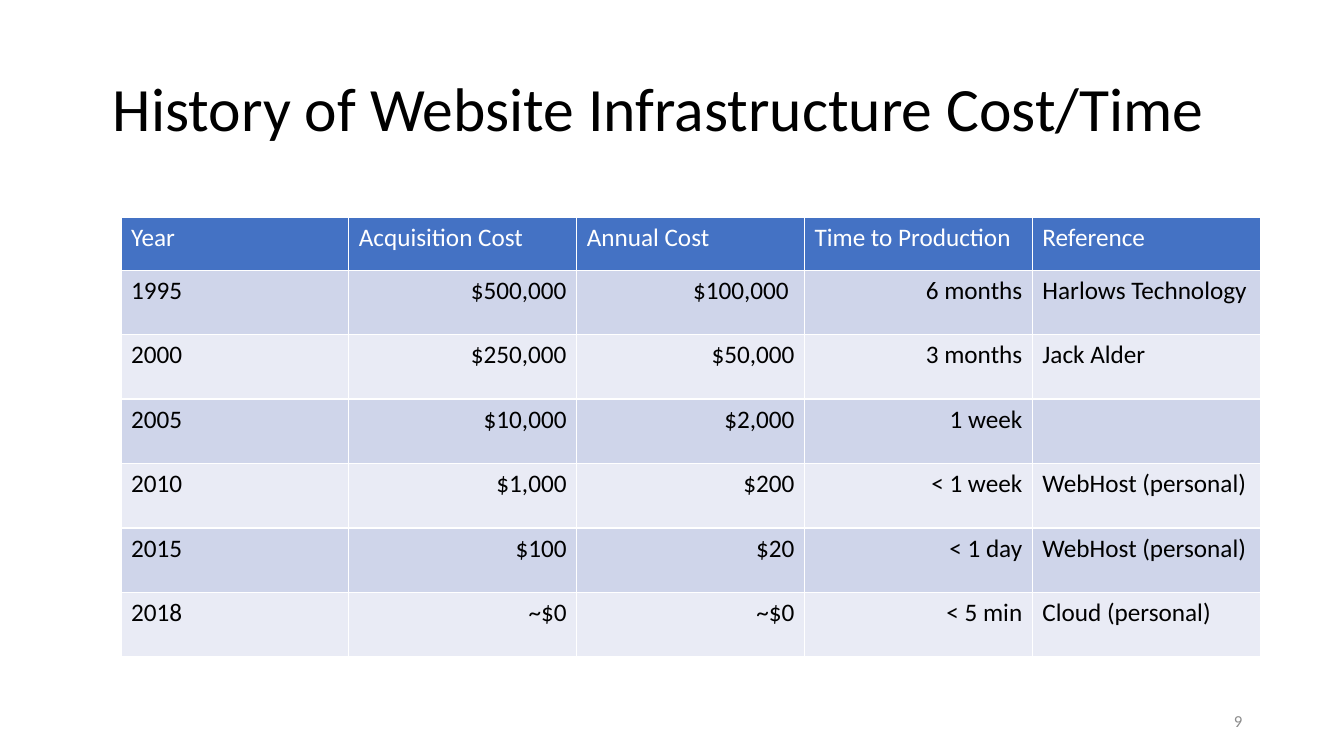
from dataclasses import dataclass

import pptx
import pptx.dml.color
import pptx.enum.text
import pptx.oxml
import pptx.oxml.ns
import pptx.util

PX = 9144  # one px is a hundredth of an inch
ALIGN = pptx.enum.text.PP_ALIGN
ANCHOR = pptx.enum.text.MSO_ANCHOR


@dataclass(frozen=True)
class Theme:
    font: str = "Calibri"
    ink: str = "000000"
    muted: str = "8C8C8C"
    white: str = "FFFFFF"
    header: str = "4472C4"
    bands: tuple[str, str] = ("CFD5EA", "E9EBF5")
    title_size: int = 44
    table_size: int = 18
    number_size: int = 12
    border_width: int = 1


@dataclass(frozen=True)
class Area:
    left: int
    top: int
    width: int
    height: int

    def emu(self) -> tuple[int, int, int, int]:
        return self.left * PX, self.top * PX, self.width * PX, self.height * PX


@dataclass(frozen=True)
class Era:
    year: str
    acquisition: str
    annual: str
    production: str
    reference: str

    def cells(self) -> tuple[str, ...]:
        return self.year, self.acquisition, self.annual, self.production, self.reference


THEME = Theme()
PAGE = Area(0, 0, 1333, 750)
TITLE = Area(102, 31, 1167, 159)
TABLE = Area(120, 216, 1130, 436)
NUMBER = Area(942, 695, 300, 40)
COLUMN_WIDTH = 226
HEADER_HEIGHT = 52
ROW_HEIGHT = 64
RIGHT_ALIGNED = (1, 2, 3)

HEADINGS = Era("Year", "Acquisition Cost", "Annual Cost", "Time to Production", "Reference")
ERAS = [
    Era("1995", "$500,000", "$100,000 ", "6 months", "Harlows Technology"),
    Era("2000", "$250,000", "$50,000", "3 months", "Jack Alder"),
    Era("2005", "$10,000", "$2,000", "1 week", ""),
    Era("2010", "$1,000", "$200", "< 1 week", "WebHost (personal)"),
    Era("2015", "$100", "$20", "< 1 day", "WebHost (personal)"),
    Era("2018", "~$0", "~$0", "< 5 min", "Cloud (personal)"),
]


def rgb(color: str) -> pptx.dml.color.RGBColor:
    return pptx.dml.color.RGBColor.from_string(color)


def write(frame, text: str, size: int, color: str, align=ALIGN.LEFT) -> None:
    frame.text = text
    para = frame.paragraphs[0]
    para.alignment = align
    para.font.size = pptx.util.Pt(size)
    for span in para.runs:
        span.font.name = THEME.font
        span.font.size = pptx.util.Pt(size)
        span.font.color.rgb = rgb(color)


def add_borders(cell) -> None:
    """Must run before the cell fill is set, as borders come first in the XML."""
    properties = cell._tc.get_or_add_tcPr()
    width = pptx.util.Pt(THEME.border_width)
    for side in "LRTB":
        properties.append(pptx.oxml.parse_xml(
            f'<a:ln{side} {pptx.oxml.ns.nsdecls("a")} w="{width}"><a:solidFill>'
            f'<a:srgbClr val="{THEME.white}"/></a:solidFill></a:ln{side}>'))


def style_cell(cell, text: str, fill: str, color: str, align) -> None:
    write(cell.text_frame, text, THEME.table_size, color, align)
    add_borders(cell)
    cell.fill.solid()
    cell.fill.fore_color.rgb = rgb(fill)


def add_title(page) -> None:
    box = page.shapes.title
    box.left, box.top, box.width, box.height = TITLE.emu()
    frame = box.text_frame
    write(frame, "History of Website Infrastructure Cost/Time", THEME.title_size, THEME.ink)
    frame.paragraphs[0].line_spacing = 0.9
    frame.vertical_anchor = ANCHOR.MIDDLE
    frame.auto_size = pptx.enum.text.MSO_AUTO_SIZE.NONE


def add_cost_table(page) -> None:
    rows = [HEADINGS, *ERAS]
    table = page.shapes.add_table(len(rows), len(HEADINGS.cells()), *TABLE.emu()).table
    for column in table.columns:
        column.width = COLUMN_WIDTH * PX
    for row, era in enumerate(rows):
        is_header = row == 0
        table.rows[row].height = (HEADER_HEIGHT if is_header else ROW_HEIGHT) * PX
        fill = THEME.header if is_header else THEME.bands[(row - 1) % 2]
        color = THEME.white if is_header else THEME.ink
        for column, text in enumerate(era.cells()):
            to_right = column in RIGHT_ALIGNED and not is_header
            align = ALIGN.RIGHT if to_right else ALIGN.LEFT
            style_cell(table.cell(row, column), text, fill, color, align)


def add_page_number(page) -> None:
    frame = page.shapes.add_textbox(*NUMBER.emu()).text_frame
    frame.word_wrap = True
    frame.vertical_anchor = ANCHOR.MIDDLE
    write(frame, "9", THEME.number_size, THEME.muted, ALIGN.RIGHT)


def main() -> None:
    deck = pptx.Presentation()
    deck.slide_width, deck.slide_height = PAGE.emu()[2:]
    page = deck.slides.add_slide(deck.slide_layouts.get_by_name("Title Only"))
    add_title(page)
    add_page_number(page)
    add_cost_table(page)
    deck.save("out.pptx")


if __name__ == "__main__":
    main()
